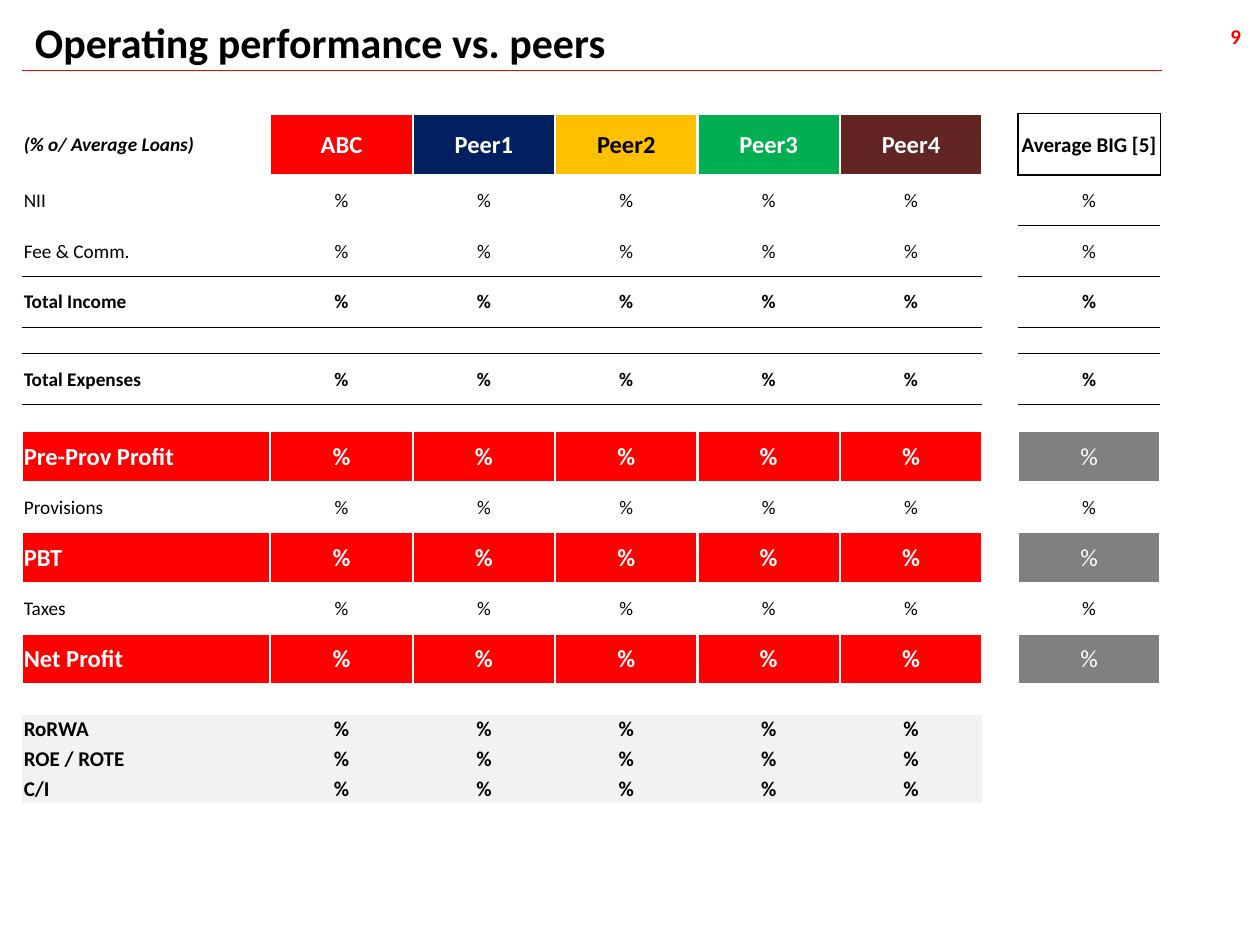
from lxml.etree import SubElement
from pptx import Presentation
from pptx.dml.color import RGBColor
from pptx.enum.shapes import MSO_CONNECTOR
from pptx.enum.text import MSO_ANCHOR, MSO_AUTO_SIZE, PP_ALIGN
from pptx.oxml.ns import qn
from pptx.util import Cm, Pt

FONT = "Calibri"
COLORS = {"black": "000000", "white": "FFFFFF", "red": "FF0000", "navy": "002060",
          "amber": "FFC000", "green": "00B050", "brown": "632523",
          "gray": "808080", "light": "F2F2F2"}
TITLE = "Operating performance vs. peers"
PAGE = "9"
UNIT = "(% o/ Average Loans)"
AVERAGE = "Average BIG [5]"
BANKS = [("ABC", "red", "white"), ("Peer1", "navy", "white"), ("Peer2", "amber", "black"),
         ("Peer3", "green", "white"), ("Peer4", "brown", "white")]
# Label and kind of every row below the header
ROWS = [("NII", "plain"), ("Fee & Comm.", "plain"), ("Total Income", "total"), ("", "gap"),
        ("Total Expenses", "total"), ("", "gap"), ("Pre-Prov Profit", "band"),
        ("Provisions", "plain"), ("PBT", "band"), ("Taxes", "plain"), ("Net Profit", "band"),
        ("", "tail"), ("RoRWA", "ratio"), ("ROE / ROTE", "ratio"), ("C/I", "ratio")]
# Row height in cm, text size, bold, text colour, fill
KINDS = {"plain": (1.02, 11, False, "black", None), "total": (1.02, 11, True, "black", None),
         "gap": (0.54, 8, False, "black", None), "band": (1.02, 14, True, "white", "red"),
         "tail": (0.6, 8, False, "black", None), "ratio": (0.6, 12, True, "black", "light")}
HEADER_H, LABEL_W, VALUE_W, SPACER_W = 1.24, 5.0, 2.87, 0.72
LEFT, TOP = 0.45, 2.29
SPACER, AVG = len(BANKS) + 1, len(BANKS) + 2
NO_STYLE = "{2D5ABB26-0587-4C30-8999-92F81FD0307C}"
OPPOSITE = {"L": ("R", 0, -1), "R": ("L", 0, 1), "T": ("B", -1, 0), "B": ("T", 1, 0)}


def rgb(name):
    return RGBColor.from_string(COLORS[name])


def format_runs(tf, size, color, bold, italic=False):
    for p in tf.paragraphs:
        for r in p.runs:
            r.font.name, r.font.size = FONT, Pt(size)
            r.font.bold, r.font.italic = bold, italic
            r.font.color.rgb = rgb(color)


def add_edges(edges, row, col, sides, color, width):
    """Record borders on a cell and on the neighbours that share them."""
    for side in sides:
        other, dr, dc = OPPOSITE[side]
        edges[row, col, side] = edges[row + dr, col + dc, other] = (color, width)


def table_edges():
    edges = {}
    for col in range(AVG + 1):
        if col == SPACER:
            continue
        sides = "LTB" if col == SPACER - 1 else "LRTB"
        if 0 < col < SPACER:
            add_edges(edges, 0, col, sides, "white", 1.5)
        for row, (_, kind) in enumerate(ROWS, 1):
            if kind == "total":
                add_edges(edges, row, col, "TB", "black", 0.5)
            elif kind == "band":
                add_edges(edges, row, col, sides, "white", 1.5)
    add_edges(edges, 0, AVG, "LRTB", "black", 1)
    return edges


def draw_edges(cell, row, col, edges):
    tcPr = cell._tc.get_or_add_tcPr()
    for side in "LRTB":
        if (row, col, side) in edges:
            color, width = edges[row, col, side]
            ln = SubElement(tcPr, qn(f"a:ln{side}"), w=str(Pt(width)))
            fill = SubElement(ln, qn("a:solidFill"))
            SubElement(fill, qn("a:srgbClr"), val=COLORS[color])


def cell_content(row, col):
    """Return text, size, bold, italic, text colour and fill of a cell."""
    if row == 0:
        if col == 0:
            return UNIT, 11, True, True, "black", None
        if col < SPACER:
            name, fill, color = BANKS[col - 1]
            return name, 14, True, False, color, fill
        return ("" if col == SPACER else AVERAGE), 12, True, False, "black", None
    label, kind = ROWS[row - 1]
    _, size, bold, color, fill = KINDS[kind]
    if col == SPACER or (col == AVG and kind == "ratio"):
        return "", 8, False, False, "black", None
    if col == AVG and kind == "band":
        bold, fill = False, "gray"
    text = label if col == 0 else "%" if label else ""
    return text, size, bold, False, color, fill


def add_peer_table(s):
    heights = [HEADER_H] + [KINDS[kind][0] for _, kind in ROWS]
    widths = [LABEL_W] + [VALUE_W] * len(BANKS) + [SPACER_W, VALUE_W]
    frame = s.shapes.add_table(len(heights), len(widths), Cm(LEFT), Cm(TOP),
                               Cm(sum(widths)), Cm(sum(heights)))
    table = frame.table
    table.first_row = table.horz_banding = False
    table._tbl.tblPr.find(qn("a:tableStyleId")).text = NO_STYLE
    for column, width in zip(table.columns, widths):
        column.width = Cm(width)
    edges = table_edges()
    for row, height in enumerate(heights):
        table.rows[row].height = Cm(height)
        for col in range(len(widths)):
            cell = table.cell(row, col)
            text, size, bold, italic, color, fill = cell_content(row, col)
            cell.margin_left = cell.margin_right = cell.margin_top = Cm(0.03)
            cell.margin_bottom = 0
            cell.vertical_anchor = MSO_ANCHOR.MIDDLE
            draw_edges(cell, row, col, edges)
            if fill:
                cell.fill.solid()
                cell.fill.fore_color.rgb = rgb(fill)
            else:
                cell.fill.background()
            p = cell.text_frame.paragraphs[0]
            p.alignment = PP_ALIGN.CENTER if col else PP_ALIGN.LEFT
            if text:
                p.text = text
                format_runs(cell.text_frame, size, color, bold, italic)
            else:
                SubElement(p._p, qn("a:endParaRPr"), sz=str(size * 100))


def add_heading(s):
    title = s.shapes.title
    title.left, title.top, title.width, title.height = Cm(0.45), Cm(0.2), Cm(24.3), Cm(1.28)
    tf = title.text_frame
    tf.text = TITLE
    tf.auto_size = MSO_AUTO_SIZE.NONE
    tf.vertical_anchor = MSO_ANCHOR.MIDDLE
    tf.paragraphs[0].alignment = PP_ALIGN.LEFT
    format_runs(tf, 24, "black", True)

    line = s.shapes.add_connector(MSO_CONNECTOR.STRAIGHT, Cm(0.45), Cm(1.42), Cm(23.42), Cm(1.42))
    line.line.color.rgb = rgb("red")
    line.line.width = Pt(0.75)
    SubElement(line._element.spPr, qn("a:effectLst"))

    number = s.shapes.add_textbox(Cm(24.1), Cm(0.36), Cm(1.07), Cm(0.78))
    tf = number.text_frame
    tf.text = PAGE
    tf.margin_left = tf.margin_right = Cm(0.15)
    tf.paragraphs[0].alignment = PP_ALIGN.RIGHT
    tf.word_wrap = True
    format_runs(tf, 12, "red", True)


def main():
    prs = Presentation()
    prs.slide_width, prs.slide_height = Cm(25.4), Cm(19.05)
    s = prs.slides.add_slide(prs.slide_layouts[5])
    add_heading(s)
    add_peer_table(s)
    prs.save("out.pptx")


if __name__ == "__main__":
    main()
